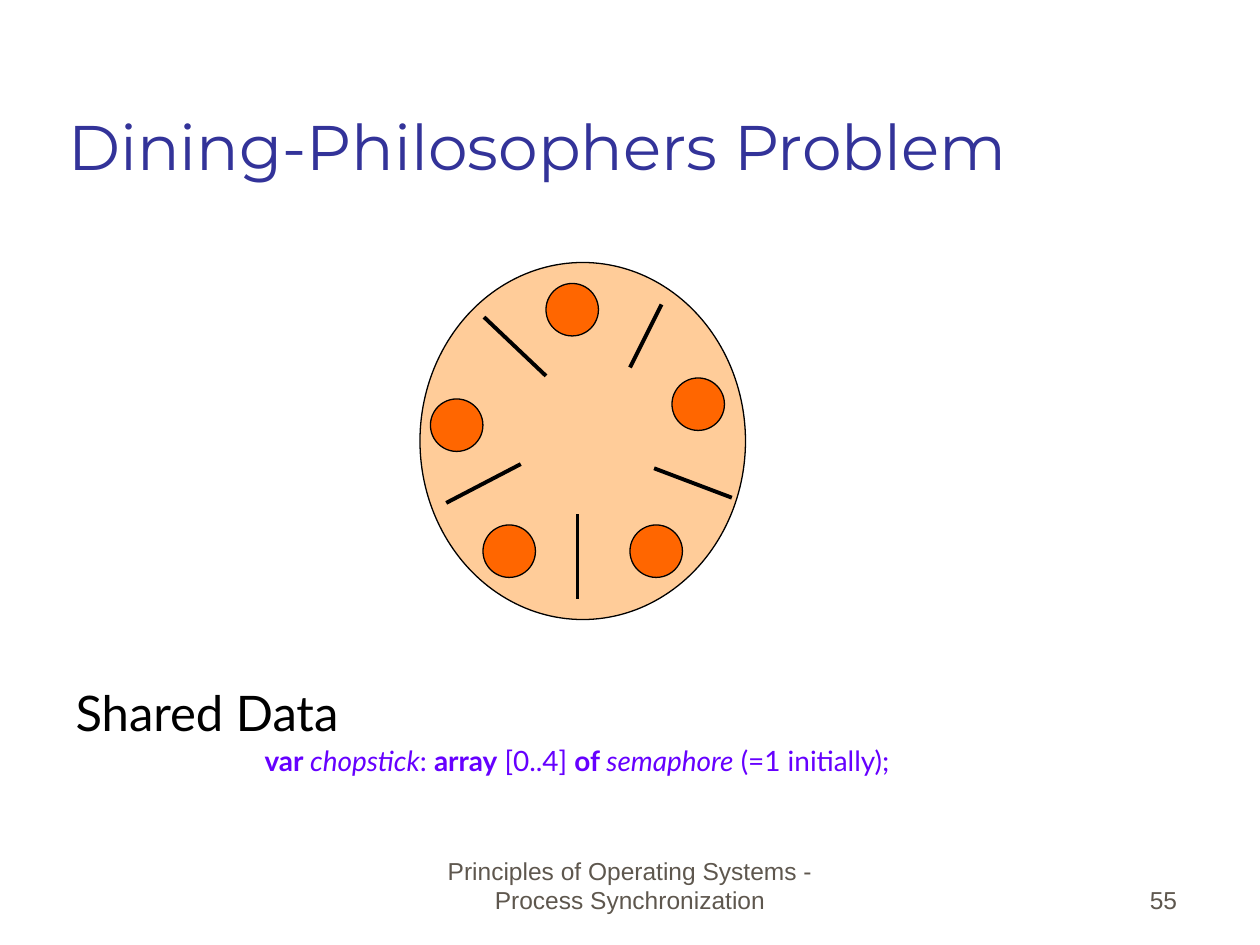
import pptx
import pptx.dml.color
import pptx.enum.shapes
import pptx.enum.text
import pptx.oxml.xmlchemy
import pptx.util
from dataclasses import dataclass

ALIGN = pptx.enum.text.PP_ALIGN
ANCHOR = pptx.enum.text.MSO_ANCHOR
SHAPES = pptx.enum.shapes


@dataclass(frozen=True)
class Theme:
    heading_font: str = "Montserrat"
    body_font: str = "Lato"
    footer_font: str = "Arial"
    heading: str = "333399"
    ink: str = "000000"
    code: str = "6600FF"
    footer: str = "5E574E"
    table: str = "FFCC99"
    plate: str = "FF6600"
    heading_size: float = 36
    body_size: float = 28
    code_size: float = 16
    footer_size: float = 14
    outline: float = 0.75
    stick: float = 2.25


class SlideBuilder:
    """Places elements on a grid of 120 columns by 90 rows."""
    COLUMNS, ROWS = 120, 90

    def __init__(self, deck, theme):
        self.theme = theme
        self.column = deck.slide_width / self.COLUMNS
        self.row = deck.slide_height / self.ROWS
        self.slide = deck.slides.add_slide(deck.slide_layouts[1])

    def grid(self, *cells):
        """Turn alternating columns and rows into lengths."""
        units = (self.column, self.row)
        return [round(cell * units[i % 2]) for i, cell in enumerate(cells)]

    def color(self, value):
        return pptx.dml.color.RGBColor.from_string(value)

    def frame(self, shape, anchor):
        text = shape.text_frame
        text.word_wrap = True
        text.auto_size = pptx.enum.text.MSO_AUTO_SIZE.NONE
        text.vertical_anchor = anchor
        return text

    def place(self, shape, box, anchor):
        shape.left, shape.top, shape.width, shape.height = self.grid(*box)
        return self.frame(shape, anchor)

    def run(self, paragraph, words, font, size, color, style=""):
        run = paragraph.add_run()
        run.text = words
        run.font.name = font
        run.font.size = pptx.util.Pt(size)
        run.font.color.rgb = self.color(color)
        run.font.bold = style == "bold"
        run.font.italic = style == "italic"

    def title(self, words, box):
        t = self.theme
        heading = self.place(self.slide.shapes.title, box, ANCHOR.BOTTOM).paragraphs[0]
        heading.alignment = ALIGN.LEFT
        self.run(heading, words, t.heading_font, t.heading_size, t.heading)

    def body(self, box, top_inset):
        body = self.place(self.slide.placeholders[1], box, ANCHOR.TOP)
        body.margin_top = round(top_inset * self.row)
        return body

    def list_item(self, paragraph, level, left, hanging, before, spacing=1.0):
        paragraph.level = level
        paragraph.alignment = ALIGN.LEFT
        paragraph.line_spacing = spacing
        paragraph.space_before = pptx.util.Pt(before)
        properties = paragraph._p.get_or_add_pPr()
        properties.set("marL", str(pptx.util.Inches(left)))
        properties.set("indent", str(-pptx.util.Inches(hanging)))
        properties.append(pptx.oxml.xmlchemy.OxmlElement("a:buNone"))

    def footer(self, words, box, alignment):
        t = self.theme
        label = self.slide.shapes.add_textbox(*self.grid(*box))
        line = self.frame(label, ANCHOR.BOTTOM).paragraphs[0]
        line.alignment = alignment
        self.run(line, words, t.footer_font, t.footer_size, t.footer)

    def ellipse(self, box, fill):
        disc = self.slide.shapes.add_shape(SHAPES.MSO_SHAPE.OVAL, *self.grid(*box))
        disc.shadow.inherit = False
        disc.fill.solid()
        disc.fill.fore_color.rgb = self.color(fill)
        disc.line.color.rgb = self.color(self.theme.ink)
        disc.line.width = pptx.util.Pt(self.theme.outline)

    def line(self, ends):
        stick = self.slide.shapes.add_connector(
            SHAPES.MSO_CONNECTOR.STRAIGHT, *self.grid(*ends))
        stick.line.color.rgb = self.color(self.theme.ink)
        stick.line.width = pptx.util.Pt(self.theme.stick)
        stick._element.spPr.append(pptx.oxml.xmlchemy.OxmlElement("a:effectLst"))


def main():
    deck = pptx.Presentation()
    deck.slide_width = pptx.util.Inches(10)
    deck.slide_height = pptx.util.Inches(7.5)
    theme = Theme()
    page = SlideBuilder(deck, theme)

    # Title
    page.title("Dining-Philosophers Problem", (5.3, 3, 102, 15))

    # Shared data, set below the table by the top inset
    shared = page.body((6, 25, 107.3, 54.7), top_inset=40)
    label = shared.paragraphs[0]
    page.list_item(label, 0, 0.38, 0.38, 0)
    page.run(label, "Shared Data", theme.body_font, theme.body_size, theme.ink)

    declaration = shared.add_paragraph()
    page.list_item(declaration, 3, 1.75, 0.25, 3.2, 0.9)
    for words, style in [
        ("var", "bold"), (" chopstick", "italic"), (": ", ""),
        ("array", "bold"), (" [0..4] ", ""), ("of ", "bold"),
        ("semaphore", "italic"), (" (=1 initially);", ""),
    ]:
        page.run(declaration, words, theme.body_font, theme.code_size, theme.code, style)

    # Round table with five plates
    page.ellipse((40, 25, 31, 34), theme.table)
    plate_size = 5
    for left, top in [(41, 38), (46, 50), (60, 50), (64, 36), (52, 27)]:
        page.ellipse((left, top, plate_size, plate_size), theme.plate)

    # Chopsticks between the plates
    for chopstick in [
        (55, 49, 55, 57), (49.6, 44.2, 42.5, 47.9), (52, 35.8, 46.1, 30.2),
        (63, 29, 60, 35), (62.3, 44.6, 69.7, 47.4),
    ]:
        page.line(chopstick)

    # Footer and page number
    page.footer("Principles of Operating Systems - Process Synchronization",
                (41, 81.7, 38, 6), ALIGN.CENTER)
    page.footer("55", (88.3, 81.7, 25, 6), ALIGN.RIGHT)

    deck.save("out.pptx")


if __name__ == "__main__":
    main()
